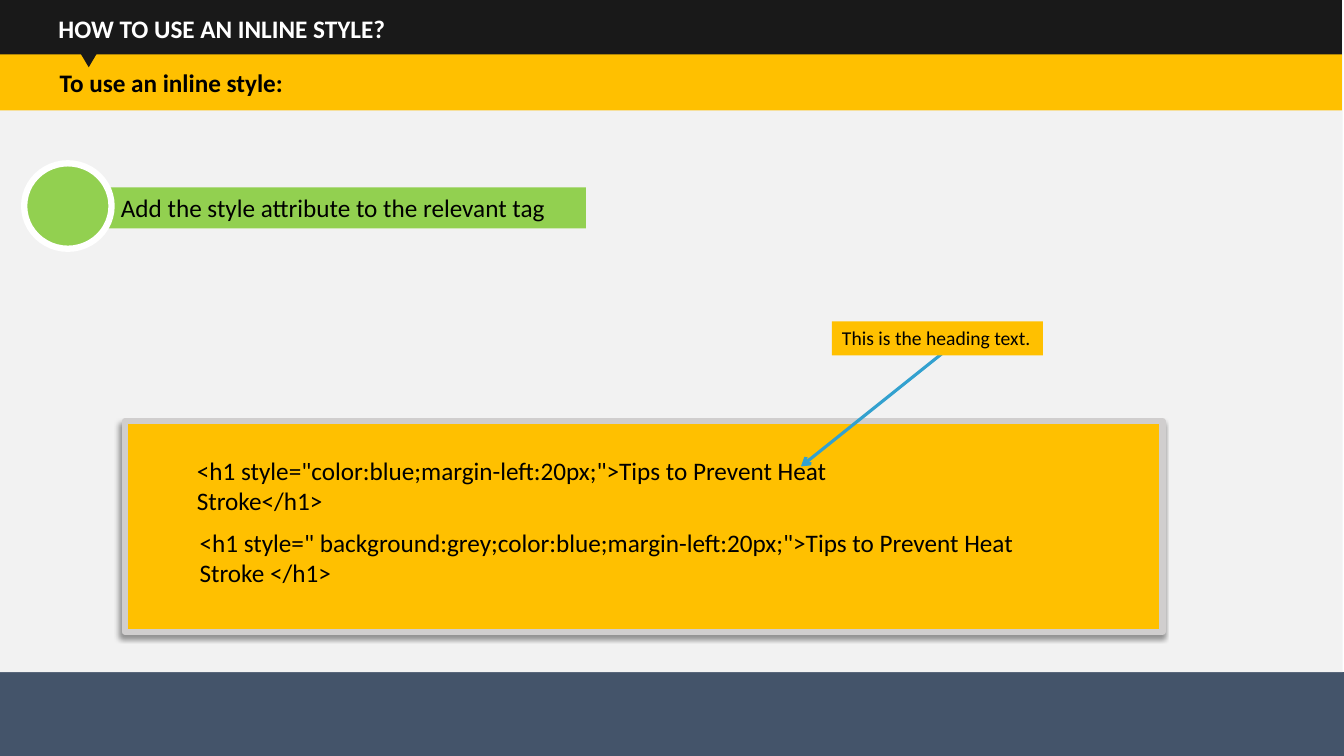
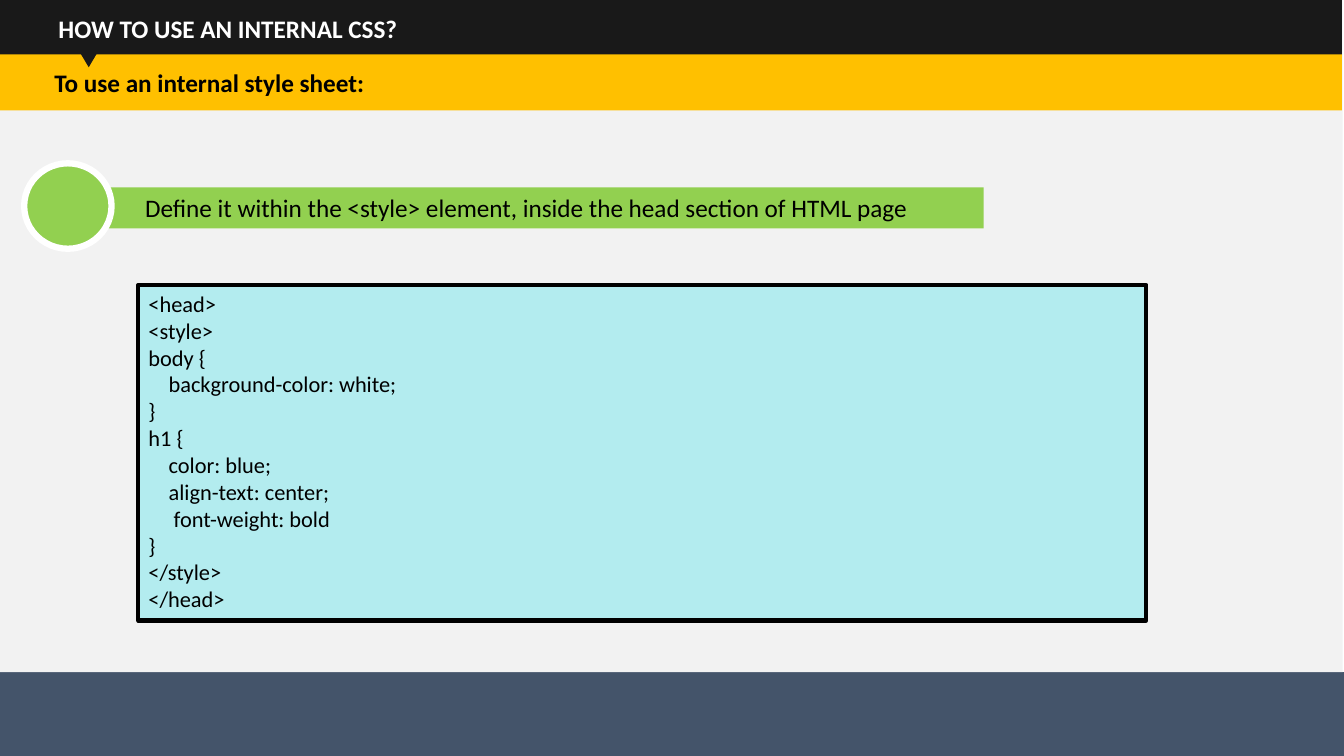
from typing import NamedTuple, Optional

from lxml.etree import SubElement
from pptx import Presentation
from pptx.dml.color import RGBColor
from pptx.enum.shapes import MSO_CONNECTOR as Connector, MSO_SHAPE as Preset
from pptx.enum.text import MSO_ANCHOR as Anchor, PP_ALIGN as Align
from pptx.oxml.ns import qn
from pptx.shapes.autoshape import Shape
from pptx.slide import Slide
from pptx.util import Emu, Inches, Pt

SLIDE_WIDTH, SLIDE_HEIGHT = Inches(13.33), Inches(7.5)
FONT = "Calibri"

BLACK = RGBColor(0x00, 0x00, 0x00)
WHITE = RGBColor(0xFF, 0xFF, 0xFF)
CHARCOAL = RGBColor(0x19, 0x19, 0x19)
AMBER = RGBColor(0xFF, 0xC0, 0x00)
GREEN = RGBColor(0x92, 0xD0, 0x50)
SLATE = RGBColor(0x44, 0x54, 0x6A)
PALE_GREY = RGBColor(0xF2, 0xF2, 0xF2)
FRAME_GREY = RGBColor(0xD0, 0xCE, 0xCE)
ARROW_BLUE = RGBColor(0x33, 0xA1, 0xCF)
CYAN = RGBColor(0x22, 0xE0, 0xEA)


class Box(NamedTuple):
    """A place in percent of the slide's width and height."""
    left: float
    top: float
    width: float
    height: float


class Line(NamedTuple):
    color: RGBColor
    points: float


class TextStyle(NamedTuple):
    size: int = 18
    color: RGBColor = BLACK
    bold: bool = False
    indent: float = 0.75
    anchor: Anchor = Anchor.TOP
    wrap: bool = True


class Page(NamedTuple):
    title: str
    subtitle: str
    subtitle_indent: float
    step: str
    step_width: float
    step_indent: float


INLINE_PAGE = Page("HOW TO USE AN INLINE STYLE?", "To use an inline style:", 4.6,
                   "Add the style attribute to the relevant tag", 36.8, 2.2)
INTERNAL_PAGE = Page("HOW TO USE AN INTERNAL CSS?", "To use an internal style sheet:", 4.2,
                     "Define it within the <style> element, inside the head section of HTML page",
                     66.4, 4)

BACKDROP = Box(-0.1, 0, 100, 88.9)
FOOTER = Box(0, 88.9, 100, 11.1)
TITLE_BAND = Box(-0.15, 0, 100, 7.4)
SUBTITLE_BAND = Box(-0.15, 7.2, 100, 7.4)
POINTER = Box(5.9, 6.8, 1.4, 2.1)
BADGE = Box(1.8, 21.6, 6.5, 11.3)
STEP_LEFT, STEP_TOP, STEP_HEIGHT = 6.8, 24.8, 5.4

INLINE_EXAMPLES = (
    ('<h1 style="color:blue;margin-left:20px;">Tips to Prevent Heat Stroke</h1>',
     Box(13.9, 59.6, 56.3, 9.4)),
    ('<h1 style=" background:grey;color:blue;margin-left:20px;">Tips to Prevent Heat Stroke </h1>',
     Box(14.1, 69.1, 67.2, 9.4)),
)

INTERNAL_EXAMPLE = """<head>
<style>
body {
    background-color: white;
}
h1 {
    color: blue;
    align-text: center;
     font-weight: bold
}
</style>
</head>"""


def across(percent: float) -> Emu:
    return Emu(round(SLIDE_WIDTH * percent / 100))


def down(percent: float) -> Emu:
    return Emu(round(SLIDE_HEIGHT * percent / 100))


def place(box: Box) -> tuple[Emu, Emu, Emu, Emu]:
    return across(box.left), down(box.top), across(box.width), down(box.height)


def write(shape: Shape, text: str, style: TextStyle) -> None:
    frame = shape.text_frame
    frame.text = text
    frame.word_wrap = style.wrap
    frame.vertical_anchor = style.anchor
    frame.margin_left = across(style.indent)
    for paragraph in frame.paragraphs:
        paragraph.alignment = Align.LEFT
        font = paragraph.font
        font.name, font.size, font.bold = FONT, Pt(style.size), style.bold
        font.color.rgb = style.color


def add_block(slide: Slide, box: Box, fill: RGBColor, text: str = "",
              style: TextStyle = TextStyle(), line: Optional[Line] = None,
              preset: Preset = Preset.RECTANGLE) -> Shape:
    shape = slide.shapes.add_shape(preset, *place(box))
    shape.shadow.inherit = False
    shape.fill.solid()
    shape.fill.fore_color.rgb = fill
    if line:
        shape.line.color.rgb = line.color
        shape.line.width = Pt(line.points)
    else:
        shape.line.fill.background()
    if text:
        write(shape, text, style)
    return shape


def add_shadow(shape: Shape) -> None:
    effects = shape._element.spPr.find(qn("a:effectLst"))
    shadow = SubElement(effects, qn("a:outerShdw"), blurRad=str(Pt(4)), dist=str(Pt(3)),
                        dir=str(135 * 60000), algn="tr", rotWithShape="0")
    color = SubElement(shadow, qn("a:srgbClr"), val=str(BLACK))
    SubElement(color, qn("a:alpha"), val="40000")


def set_opacity(shape: Shape, percent: int) -> None:
    color = shape._element.spPr.find(qn("a:solidFill")).find(qn("a:srgbClr"))
    SubElement(color, qn("a:alpha"), val=str(percent * 1000))


def add_arrow(slide: Slide, start: tuple[float, float], end: tuple[float, float]) -> None:
    arrow = slide.shapes.add_connector(Connector.STRAIGHT, across(start[0]), down(start[1]),
                                       across(end[0]), down(end[1]))
    arrow.line.color.rgb = ARROW_BLUE
    arrow.line.width = Pt(2.25)
    SubElement(arrow.line._get_or_add_ln(), qn("a:tailEnd"), type="arrow")
    SubElement(arrow._element.spPr, qn("a:effectLst"))


def add_page(presentation: Presentation, page: Page) -> Slide:
    """Add a slide with the backdrop, header bands, footer and step bar."""
    slide = presentation.slides.add_slide(presentation.slide_layouts[6])
    add_block(slide, FOOTER, SLATE)
    add_block(slide, BACKDROP, PALE_GREY)
    add_block(slide, TITLE_BAND, CHARCOAL, page.title,
              TextStyle(color=WHITE, bold=True, indent=4.5, anchor=Anchor.MIDDLE))
    add_block(slide, SUBTITLE_BAND, AMBER, page.subtitle,
              TextStyle(bold=True, indent=page.subtitle_indent, anchor=Anchor.MIDDLE))
    pointer = add_block(slide, POINTER, CHARCOAL, preset=Preset.ISOSCELES_TRIANGLE)
    pointer.rotation = 180
    add_block(slide, Box(STEP_LEFT, STEP_TOP, page.step_width, STEP_HEIGHT), GREEN, page.step,
              TextStyle(indent=page.step_indent))
    add_block(slide, BADGE, GREEN, line=Line(WHITE, 4.5), preset=Preset.OVAL)
    return slide


def add_inline_slide(presentation: Presentation) -> None:
    slide = add_page(presentation, INLINE_PAGE)
    panel = add_block(slide, Box(9.3, 55.7, 77.2, 27.9), AMBER, line=Line(FRAME_GREY, 4.5))
    add_shadow(panel)
    for code, box in INLINE_EXAMPLES:
        write(slide.shapes.add_textbox(*place(box)), code, TextStyle())
    add_arrow(slide, (72.6, 43.2), (59.6, 61.7))
    add_block(slide, Box(61.9, 42.5, 15.7, 4.5), AMBER, "This is the heading text.",
              TextStyle(size=14, wrap=False))


def add_internal_slide(presentation: Presentation) -> None:
    slide = add_page(presentation, INTERNAL_PAGE)
    listing = add_block(slide, Box(10.3, 37.7, 75, 44.4), CYAN, INTERNAL_EXAMPLE,
                        TextStyle(size=16), Line(BLACK, 3))
    set_opacity(listing, 30)


def main() -> None:
    presentation = Presentation()
    presentation.slide_width, presentation.slide_height = SLIDE_WIDTH, SLIDE_HEIGHT
    add_inline_slide(presentation)
    add_internal_slide(presentation)
    presentation.save("out.pptx")


if __name__ == "__main__":
    main()
